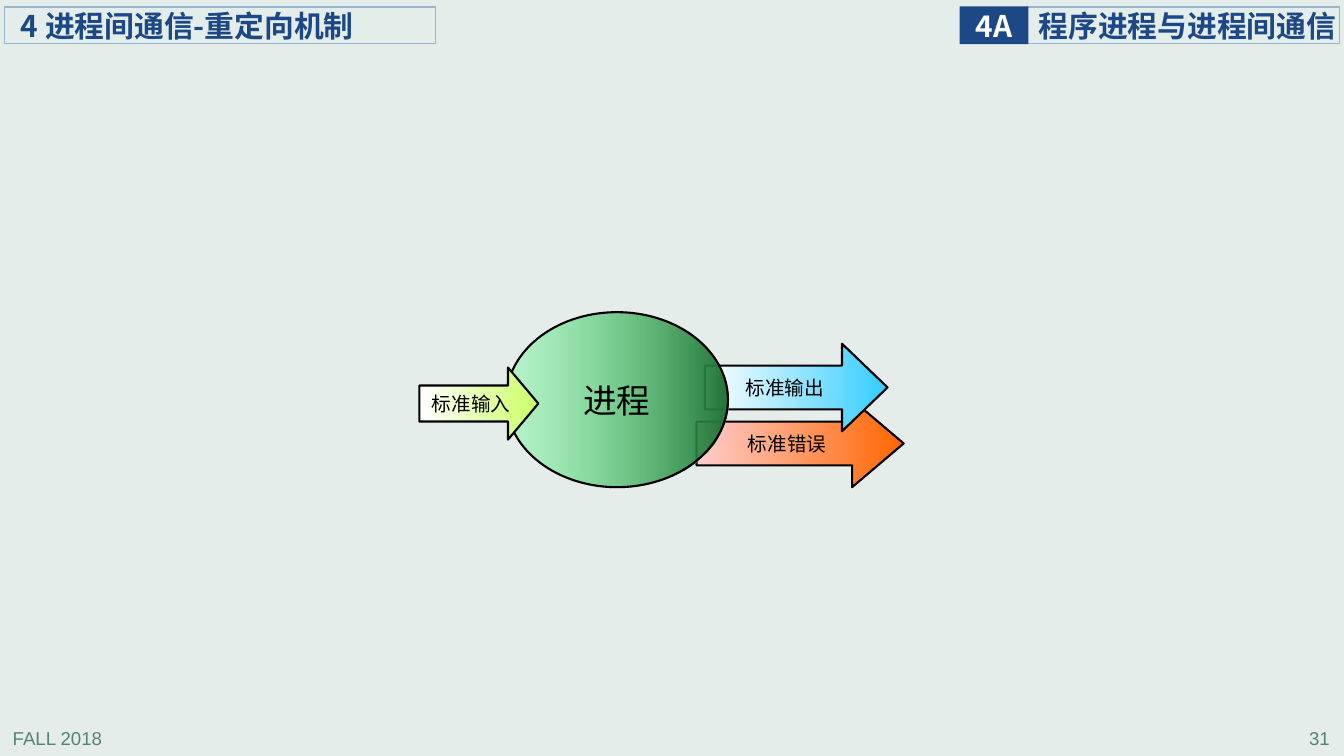
from lxml.etree import SubElement
from pptx import Presentation
from pptx.dml.color import RGBColor
from pptx.enum.shapes import MSO_SHAPE
from pptx.enum.text import MSO_ANCHOR, PP_ALIGN
from pptx.oxml.ns import qn
from pptx.util import Pt

NOTO = "Noto Sans CJK SC"
NAVY, BLACK = "1C4885", "000000"


def rgb(value):
    return RGBColor.from_string(value)


def write(sp, text, size, font, color, align, bold=False):
    p = sp.text_frame.paragraphs[0]
    p.text = text
    p.alignment = align
    p.font.size = Pt(size)
    p.font.bold = bold
    p.font.color.rgb = rgb(color)
    p.font.name = font
    SubElement(p._p.find(".//" + qn("a:defRPr")), qn("a:ea"), typeface=NOTO)


prs = Presentation()
prs.slide_width, prs.slide_height = Pt(960), Pt(540)
s = prs.slides.add_slide(prs.slide_layouts[6])
s.background.fill.solid()
s.background.fill.fore_color.rgb = rgb("E5EDEB")

for text, left, align in [("FALL 2018", 2, PP_ALIGN.LEFT), ("31", 757, PP_ALIGN.RIGHT)]:
    sp = s.shapes.add_textbox(Pt(left), Pt(515.5), Pt(200), Pt(22.5))
    sp.text_frame.word_wrap = True
    write(sp, text, 13.3, "Arial", "578279", align)

headers = [
    ("程序进程与进程间通信", 733.5, 5, 223.5, 26, 8.5, None, NAVY, PP_ALIGN.LEFT),
    ("4A", 685.5, 4.5, 49, 27, 0, NAVY, "FFFFFF", PP_ALIGN.CENTER),
    ("4 进程间通信-重定向机制", 3.5, 5, 307.5, 26, 11.5, None, NAVY, PP_ALIGN.LEFT),
]
for text, left, top, width, height, inset, fill, color, align in headers:
    sp = s.shapes.add_shape(MSO_SHAPE.RECTANGLE, Pt(left), Pt(top), Pt(width), Pt(height))
    sp.shadow.inherit = False
    if fill:
        sp.fill.solid()
        sp.fill.fore_color.rgb = rgb(fill)
        sp.line.fill.background()
    else:
        sp.fill.background()
        sp.line.color.rgb = rgb("94B6D2")
        sp.line.width = Pt(0.75)
    tf = sp.text_frame
    tf.word_wrap = not fill
    tf.vertical_anchor = MSO_ANCHOR.MIDDLE
    tf.margin_left = Pt(inset)
    tf.margin_top = tf.margin_right = tf.margin_bottom = 0
    write(sp, text, 21.3, NOTO, color, align, True)

ARROW, OVAL = MSO_SHAPE.RIGHT_ARROW, MSO_SHAPE.OVAL
flow = [
    ("标准错误", ARROW, 497.5, 285.5, 148, 62.5, 0.59, "FFCCCC", "FF6600", 14, "Calibri"),
    ("标准输出", ARROW, 503.5, 245.5, 130.5, 62.5, 0.52, "FFFFFF", "33CCFF", 14, "Calibri"),
    ("进程", OVAL, 361.5, 223, 158.5, 125, None, "51FD7E", "237339", 24, "Arial"),
    ("标准输入", ARROW, 299.5, 262.5, 85, 51.5, 0.42, "FFFFFF", "CCFF66", 14, "Calibri"),
]
for text, kind, left, top, width, height, head, start, end, size, font in flow:
    sp = s.shapes.add_shape(kind, Pt(left), Pt(top), Pt(width), Pt(height))
    sp.shadow.inherit = False
    sp.fill.gradient()
    sp.fill.gradient_angle = 0
    for stop, color in zip(sp.fill.gradient_stops, (start, end)):
        stop.color.rgb = rgb(color)
    if kind == ARROW:
        sp.adjustments[1] = head
    else:
        first = sp._element.spPr.find(".//" + qn("a:srgbClr"))
        SubElement(first, qn("a:alpha"), val="29000")
    sp.line.color.rgb = rgb(BLACK)
    sp.line.width = Pt(1.5)
    sp.text_frame.word_wrap = False
    sp.text_frame.vertical_anchor = MSO_ANCHOR.MIDDLE
    write(sp, text, size, font, BLACK, PP_ALIGN.CENTER)

prs.save("out.pptx")
